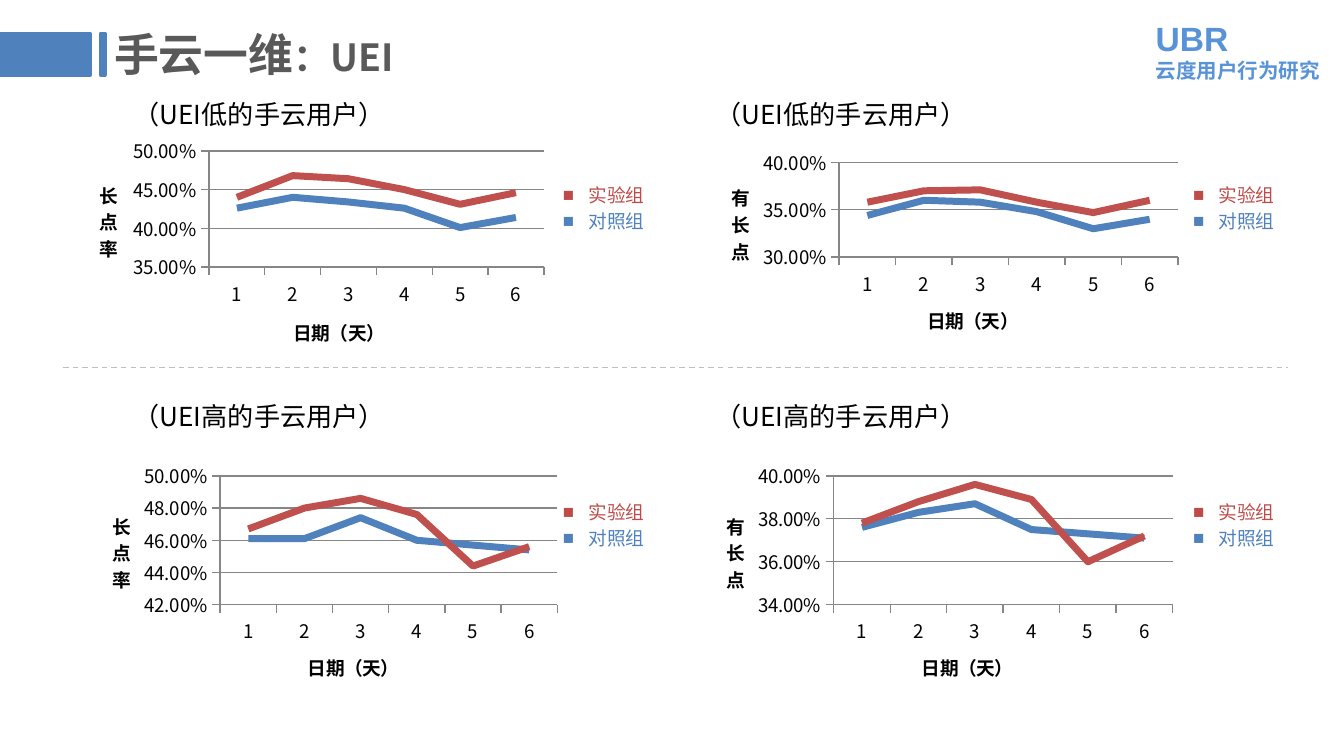
from lxml import etree
from pptx import Presentation
from pptx.chart.data import CategoryChartData
from pptx.dml.color import RGBColor
from pptx.enum.chart import XL_CHART_TYPE as ChartType, XL_TICK_MARK as Tick
from pptx.enum.dml import MSO_LINE_DASH_STYLE as Dash
from pptx.enum.shapes import MSO_CONNECTOR as Connector, MSO_SHAPE as Shape
from pptx.enum.text import MSO_ANCHOR as Anchor, PP_ALIGN as Align
from pptx.oxml.ns import qn
from pptx.util import Inches, Pt

BLUE = RGBColor(0x4F, 0x81, 0xBD)
RED = RGBColor(0xC0, 0x50, 0x4D)
KEY_RED = RGBColor(0xBE, 0x4B, 0x48)
HEADER_BLUE = RGBColor(0x58, 0x93, 0xD8)
TITLE_GREY = RGBColor(0x59, 0x59, 0x59)
AXIS_GREY = RGBColor(0x86, 0x86, 0x86)
RULE_GREY = RGBColor(0xBF, 0xBF, 0xBF)
BLACK = RGBColor(0, 0, 0)
CJK = "Noto Sans CJK SC"


def grid(*cells):
    """Turn grid cells (100 columns by 56.25 rows) into lengths."""
    return [Inches(cell / 10) for cell in cells]


class Deck:
    def __init__(self):
        self.prs = Presentation()
        self.prs.slide_width, self.prs.slide_height = grid(100, 56.25)
        self.slide = self.prs.slides.add_slide(self.prs.slide_layouts[6])

    def style(self, font, size, color, bold=False, face=CJK):
        font.size, font.bold, font.name = Pt(size), bold, face
        font.color.rgb = color
        for old in font._rPr.findall(qn("a:ea")):
            font._rPr.remove(old)
        etree.SubElement(font._rPr, qn("a:ea")).set("typeface", face)

    def text(self, at, words, size, color, align=Align.LEFT):
        frame = self.slide.shapes.add_textbox(*grid(*at)).text_frame
        frame.word_wrap = True
        frame.text = words
        frame.paragraphs[0].alignment = align
        for paragraph in frame.paragraphs:
            for run in paragraph.runs:
                self.style(run.font, size, color)
        return frame

    def bar(self, at):
        block = self.slide.shapes.add_shape(Shape.RECTANGLE, *grid(*at))
        block.shadow.inherit = False
        block.fill.solid()
        block.fill.fore_color.rgb = block.line.color.rgb = BLUE
        block.line.width = Pt(2)

    def divider(self, left, right, row):
        rule = self.slide.shapes.add_connector(
            Connector.STRAIGHT, *grid(left, row, right, row))
        rule.line.color.rgb, rule.line.width = RULE_GREY, Pt(0.75)
        rule.line.dash_style = Dash.DASH
        etree.SubElement(rule._element.spPr, qn("a:effectLst"))

    def key(self, at, name, color):
        paragraph = self.text(at, name, 10, color).paragraphs[0]
        props = paragraph._p.get_or_add_pPr()
        props.set("marL", str(Inches(0.19)))
        props.set("indent", str(-Inches(0.19)))
        etree.SubElement(props, qn("a:buFont")).set("typeface", "Arial")
        etree.SubElement(props, qn("a:buChar")).set("char", "■")

    def place(self, parent, index, **layout):
        """Set a manual layout, in shares of the chart's size."""
        for old in parent.findall(qn("c:layout")):
            parent.remove(old)
        holder = etree.Element(qn("c:layout"))
        manual = etree.SubElement(holder, qn("c:manualLayout"))
        for tag, value in layout.items():
            etree.SubElement(manual, qn("c:" + tag)).set("val", str(value))
        parent.insert(index, holder)

    def axis(self, axis, caption, x, y):
        axis.major_tick_mark, axis.minor_tick_mark = Tick.OUTSIDE, Tick.NONE
        axis.format.line.color.rgb = AXIS_GREY
        axis.format.line.width = Pt(0.75)
        frame = axis.axis_title.text_frame
        frame.text = caption
        self.style(frame.paragraphs[0].runs[0].font, 10, BLACK, bold=True)
        self.place(axis.axis_title._element, 1, xMode="edge", yMode="edge", x=x, y=y)
        return frame

    def line_chart(self, at, plot, caption, scale, series, day_at, rate_at):
        data = CategoryChartData(number_format="0.00%")
        data.categories = [str(day) for day in range(1, 7)]
        for number, percents in enumerate(series, 1):
            data.add_series(f"Series {number}", [round(p / 100, 3) for p in percents])
        chart = self.slide.shapes.add_chart(ChartType.LINE, *grid(*at), data).chart
        chart.has_legend = chart.has_title = False
        self.style(chart.font, 10, BLACK)
        chart.plots[0].vary_by_categories = False
        for line, color in zip(chart.plots[0].series, (BLUE, RED)):
            line.smooth = False
            line.format.line.color.rgb, line.format.line.width = color, Pt(3.75)

        rates = chart.value_axis
        rates.minimum_scale, rates.maximum_scale, rates.major_unit = (s / 100 for s in scale)
        rates.has_major_gridlines = True
        rates.major_gridlines.format.line.color.rgb = AXIS_GREY
        rates.major_gridlines.format.line.width = Pt(0.75)
        rates.tick_labels.number_format = "0.00%"
        rates.tick_labels.number_format_is_linked = False
        stacked = self.axis(rates, caption, *rate_at)._txBody.bodyPr
        stacked.set("rot", "0")
        stacked.set("vert", "wordArtVert")
        self.axis(chart.category_axis, "日期（天）", *day_at)

        x, y, w, h = plot
        self.place(chart._chartSpace.chart.plotArea, 0, layoutTarget="inner",
                   xMode="edge", yMode="edge", x=x, y=y, w=w, h=h)


def main():
    deck = Deck()

    # Header
    header = deck.text((85, 0, 15, 7.5), "UBR\n云度用户行为研究", 11, HEADER_BLUE)
    header.vertical_anchor = Anchor.MIDDLE
    for paragraph, size, face in zip(header.paragraphs, (18, 11), ("Arial", CJK)):
        deck.style(paragraph.runs[0].font, size, HEADER_BLUE, True, face)
    title = deck.text((7.5, 1.2, 33.9, 5.5), "手云一维", 24, TITLE_GREY)
    title.vertical_anchor = Anchor.MIDDLE
    title.paragraphs[0].add_run().text = "：UEI"
    for run, size in zip(title.paragraphs[0].runs, (24, 20)):
        deck.style(run.font, size, TITLE_GREY, bold=True)
    deck.bar((0, 2.5, 6.7, 3.1))
    deck.bar((7.5, 2.5, 0.3, 3.1))

    # Charts: place, plot area, rate name, scale, control and test groups
    deck.line_chart(
        (5.1, 9.5, 40.2, 17.3), (0.26, 0.1, 0.62, 0.5), "长点率", (35, 50, 5),
        [(42.6, 44, 43.4, 42.6, 40.1, 41.4), (44, 46.8, 46.4, 45, 43.1, 44.6)],
        (0.41, 0.8), (0.05, 0.21))
    deck.line_chart(
        (51.8, 10.2, 39.4, 15.7), (0.27, 0.12, 0.64, 0.45), "有长点", (30, 40, 5),
        [(34.4, 36, 35.8, 34.8, 33, 34), (35.8, 37, 37.1, 35.8, 34.7, 36)],
        (0.43, 0.78), (0.06, 0.2))
    deck.line_chart(
        (5.8, 33.6, 39.2, 18.1), (0.27, 0.1, 0.64, 0.53), "长点率", (42, 50, 2),
        [(46.1, 46.1, 47.4, 46, 45.7, 45.4), (46.7, 48, 48.6, 47.6, 44.4, 45.6)],
        (0.43, 0.81), (0.06, 0.23))
    deck.line_chart(
        (51.4, 33.6, 39.4, 18.1), (0.27, 0.1, 0.64, 0.53), "有长点", (34, 40, 2),
        [(37.6, 38.3, 38.7, 37.5, 37.3, 37.1), (37.8, 38.8, 39.6, 38.9, 36, 37.2)],
        (0.43, 0.81), (0.06, 0.23))

    # Chart headings and keys, two columns by two rows
    for heading_left, key_left in ((7.5, 40.9), (50.8, 87.8)):
        for level, heading_top, key_top in (("低", 6.85, 13.2), ("高", 29.3, 36.8)):
            deck.text((heading_left, heading_top, 23.6, 3.4),
                      f"（UEI{level}的手云用户）", 14, BLACK, Align.CENTER)
            deck.key((key_left, key_top, 10.6, 2.7), "实验组", KEY_RED)
            deck.key((key_left, key_top + 1.9, 10.6, 2.7), "对照组", BLUE)

    # Divider between the two user groups
    deck.divider(4.7, 95.8, 27.35)

    deck.prs.save("out.pptx")


if __name__ == "__main__":
    main()
